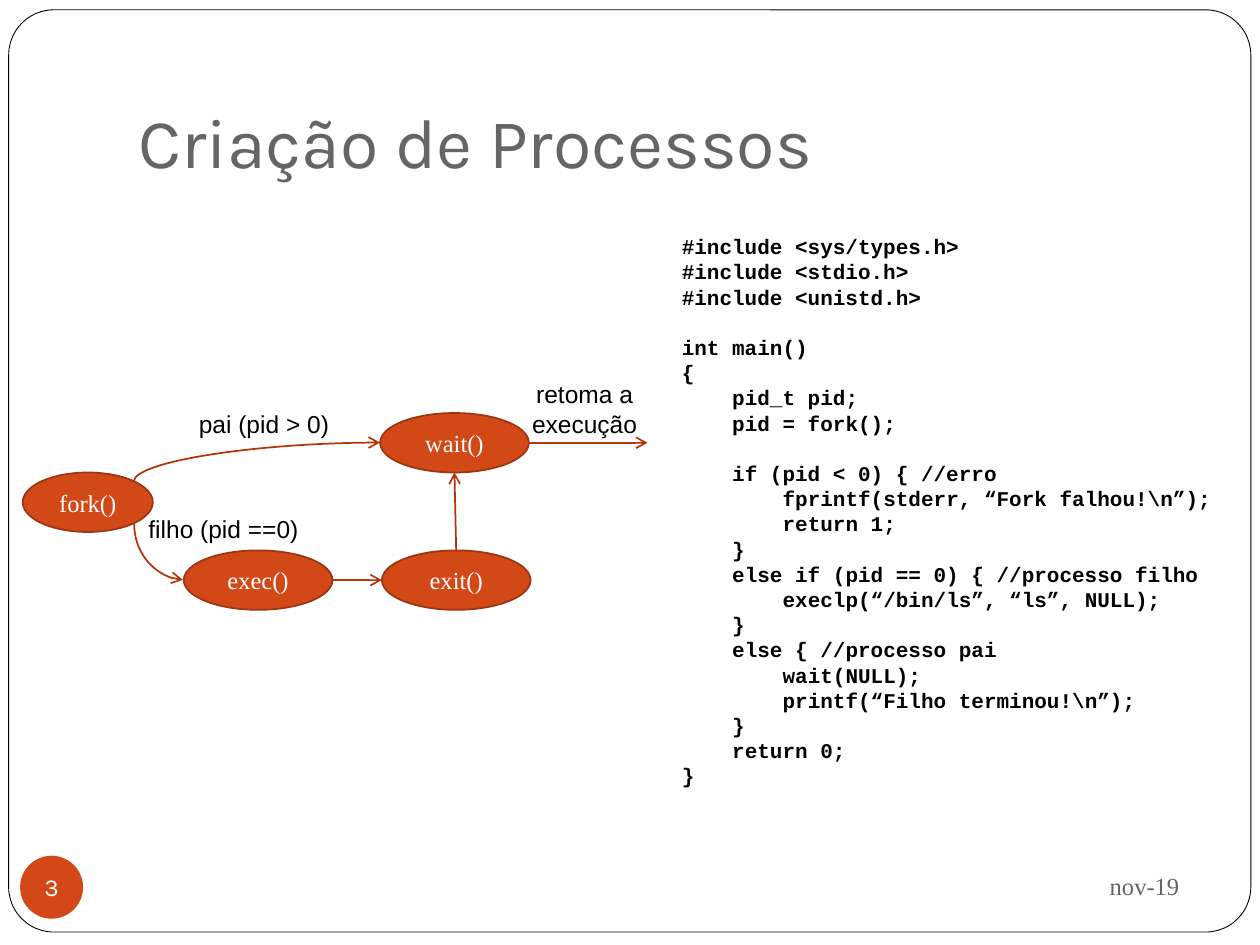
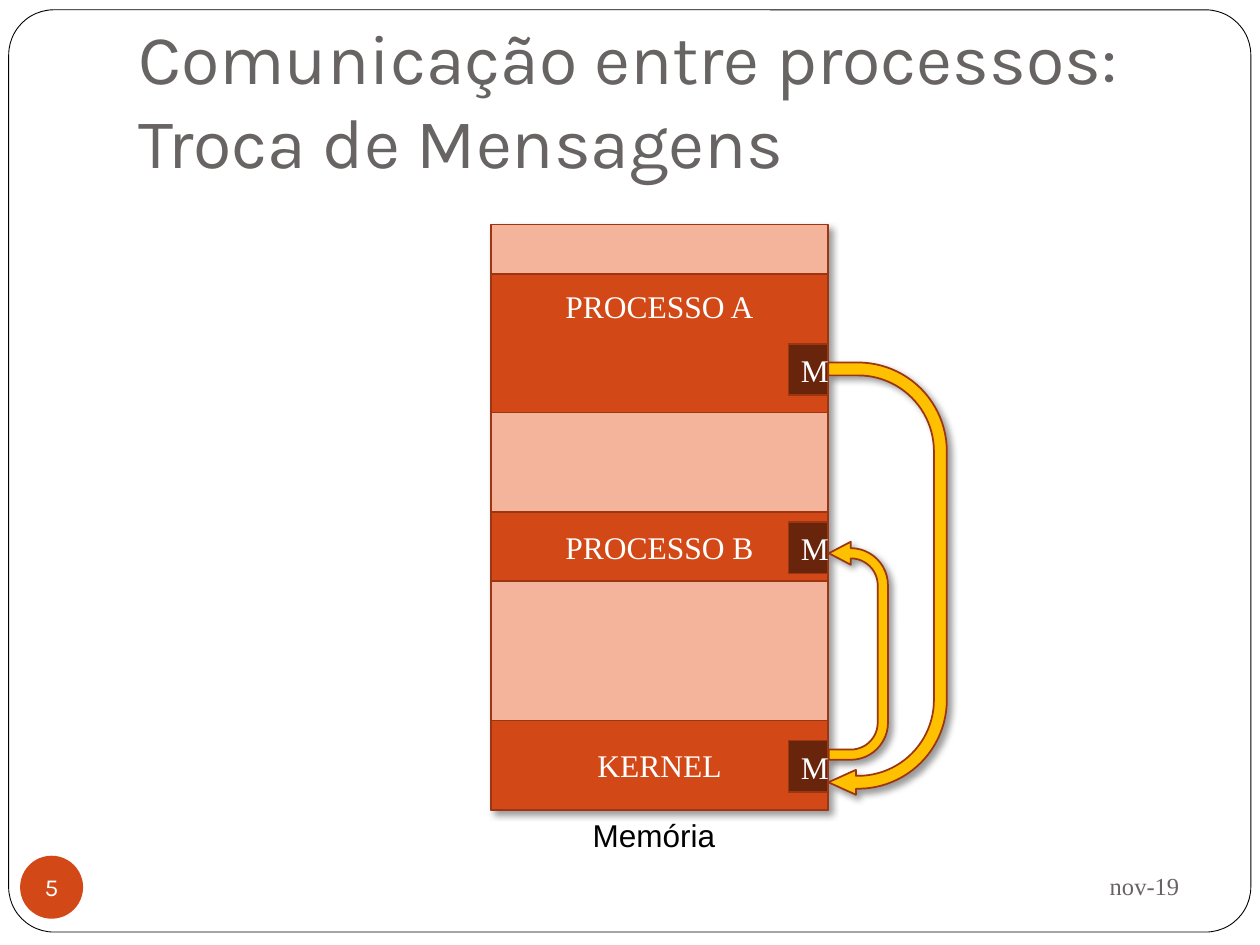
"""Build two slides on process creation and message passing."""
from dataclasses import dataclass
from typing import Any, NamedTuple

import pptx
import pptx.dml.color
import pptx.enum.shapes
import pptx.enum.text
import pptx.oxml
import pptx.oxml.ns
import pptx.util

Pt = pptx.util.Pt
KIND = pptx.enum.shapes.MSO_SHAPE
LINK = pptx.enum.shapes.MSO_CONNECTOR
ALIGN = pptx.enum.text.PP_ALIGN
ANCHOR = pptx.enum.text.MSO_ANCHOR
FIT = pptx.enum.text.MSO_AUTO_SIZE

COLORS = {
    "paper": "FFFFFF", "ink": "000000", "gray": "696464", "main": "D34817",
    "edge": "9C3511", "link": "B1360B", "pale": "F4B39B", "dark": "69240C",
    "gold": "FFC000",
}
SERIF, SANS, HEAD, MONO = "Times New Roman", "Arial", "Karla", "Courier New"
PITCH = 14.4
INDENT = 28.8


class Box(NamedTuple):
    left: float
    top: float
    width: float
    height: float


class Point(NamedTuple):
    x: float
    y: float


@dataclass
class Node:
    text: str
    box: Box

    def at(self, across: float, down: float) -> Point:
        """Return the point at the given shares of width and height."""
        return Point(self.box.left + across * self.box.width,
                     self.box.top + down * self.box.height)


@dataclass
class Label:
    text: tuple[str, ...]
    box: Box
    size: float = 14


@dataclass
class Code:
    text: str
    depth: int = 0
    gap: bool = False


@dataclass
class Curve:
    start: Point
    end: Point
    turn: int


@dataclass
class Block:
    text: str
    top: float
    height: float


@dataclass
class Arrow:
    box: Box
    turn: int
    flip: bool
    bends: tuple[float, ...]


FORK = Node("fork()", Box(12.96, 270, 74.4, 34))
EXEC = Node("exec()", Box(105, 314.5, 85, 34))
WAIT = Node("wait()", Box(217.2, 236, 85, 34))
EXIT = Node("exit()", Box(218.2, 314.5, 85, 34))

LINES = [
    (EXEC.at(1, 0.5), EXIT.at(0, 0.5)),
    (EXIT.at(0.5, 0), WAIT.at(0.5, 1)),
    (WAIT.at(1, 0.5), Point(370, 253)),
]
CURVES = [
    Curve(Point(106.8, 301.2), Point(74.4, 329.1), 270),
    Curve(Point(158, 334.4), Point(135.7, 193.7), 90),
]
LABELS = [
    Label(("filho (pid ==0)",), Box(77.76, 290.2, 100.8, 24.5)),
    Label(("pai (pid > 0)",), Box(106.56, 230.4, 89.3, 24.5)),
    Label(("retoma a", "execução"), Box(296.64, 213.1, 74.9, 41)),
]
PROGRAM = [
    Code("#include <sys/types.h>"),
    Code("#include <stdio.h>"),
    Code("#include <unistd.h>"),
    Code("int main()", gap=True),
    Code("{"),
    Code("pid_t pid;", 1),
    Code("pid = fork();", 1),
    Code("if (pid < 0) { //erro", 1, True),
    Code("fprintf(stderr, “Fork falhou!\\n”);", 2),
    Code("return 1;", 2),
    Code("}", 1),
    Code("else if (pid == 0) { //processo filho", 1),
    Code("execlp(“/bin/ls”, “ls”, NULL);", 2),
    Code("}", 1),
    Code("else { //processo pai", 1),
    Code("wait(NULL);", 2),
    Code("printf(“Filho terminou!\\n”);", 2),
    Code("}", 1),
    Code("return 0;", 1),
    Code("}"),
]

MEMORY = Box(280.6, 128.2, 192.5, 334.8)
BLOCKS = [
    Block("PROCESSO A", 156.6, 79.2),
    Block("PROCESSO B", 292.5, 39.7),
    Block("KERNEL", 411.7, 51.3),
]
CELLS = [196.4, 298.3, 423.2]
ARROWS = [
    Arrow(Box(428.2, 355, 124.6, 33.8), 270, True,
          (0.173, 0.195, 0.371, 0.629, 1)),
    Arrow(Box(383.7, 296.8, 247, 67.7), 90, False,
          (0.109, 0.105, 0.232, 0.75, 1)),
]


def tint(name: str) -> Any:
    """Return a named colour."""
    return pptx.dml.color.RGBColor.from_string(COLORS[name])


def span(box: Box) -> list[Any]:
    """Return the box as lengths."""
    return [Pt(side) for side in box]


def write(shape: Any, *lines: str, size: float = 14, font: str = SERIF,
          color: str = "paper", bold: bool = False, align: Any = ALIGN.CENTER,
          anchor: Any = ANCHOR.MIDDLE, wrap: bool = True, grow: bool = False,
          inset: tuple[float, ...] = (7.2, 3.6, 7.2, 3.6)) -> Any:
    """Fill a shape with lines of text in one format."""
    frame = shape.text_frame
    frame.word_wrap = wrap
    frame.auto_size = FIT.SHAPE_TO_FIT_TEXT if grow else FIT.NONE
    frame.vertical_anchor = anchor
    (frame.margin_left, frame.margin_top,
     frame.margin_right, frame.margin_bottom) = [Pt(side) for side in inset]
    for index, line in enumerate(lines):
        para = frame.add_paragraph() if index else frame.paragraphs[0]
        para.alignment = align
        run = para.add_run()
        run.text = line
        run.font.size, run.font.name, run.font.bold = Pt(size), font, bold
        run.font.color.rgb = tint(color)
    return frame


def draw(slide: Any, kind: Any, box: Box, fill: str = "main",
         line: str | None = "edge", width: float = 1) -> Any:
    """Add a flat preset shape."""
    shape = slide.shapes.add_shape(kind, *span(box))
    shape.shadow.inherit = False
    shape.fill.solid()
    shape.fill.fore_color.rgb = tint(fill)
    if line:
        shape.line.color.rgb = tint(line)
        shape.line.width = Pt(width)
    else:
        shape.line.fill.background()
    return shape


def shade(shape: Any) -> None:
    """Give a shape a soft shadow."""
    effects = shape.element.spPr.find(pptx.oxml.ns.qn("a:effectLst"))
    effects.append(pptx.oxml.parse_xml(
        f'<a:outerShdw {pptx.oxml.ns.nsdecls("a")} blurRad="{Pt(4)}" '
        f'dist="{Pt(3)}" dir="2700000" rotWithShape="0">'
        f'<a:srgbClr val="{COLORS["ink"]}"><a:alpha val="40000"/></a:srgbClr>'
        '</a:outerShdw>'))


def link(slide: Any, start: Point, end: Point, kind: Any = LINK.STRAIGHT) -> Any:
    """Add a connector with an arrowhead at its end."""
    line = slide.shapes.add_connector(kind, *span(Box(*start, *end)))
    line.line.color.rgb = tint("link")
    line.line.width = Pt(1)
    names = pptx.oxml.ns.nsdecls("a")
    line.line._get_or_add_ln().append(
        pptx.oxml.parse_xml(f'<a:tailEnd {names} type="arrow"/>'))
    line.element.spPr.append(pptx.oxml.parse_xml(f"<a:effectLst {names}/>"))
    return line


def bend(slide: Any, curve: Curve) -> None:
    """Add a turned connector with a single bend."""
    props = link(slide, curve.start, curve.end, LINK.CURVE).element.spPr
    props.find(pptx.oxml.ns.qn("a:prstGeom")).set("prst", "curvedConnector2")
    props.find(pptx.oxml.ns.qn("a:xfrm")).set("rot", str(curve.turn * 60000))


def note(slide: Any, label: Label) -> None:
    """Add a label that does not wrap."""
    align = ALIGN.CENTER if len(label.text) > 1 else ALIGN.LEFT
    write(slide.shapes.add_textbox(*span(label.box)), *label.text,
          size=label.size, font=SANS, color="ink", align=align,
          anchor=ANCHOR.TOP, wrap=False, grow=True)


def start(deck: Any, title: str, number: int) -> Any:
    """Add a slide with its frame, title, date and number."""
    slide = deck.slides.add_slide(deck.slide_layouts[6])
    frame = draw(slide, KIND.ROUNDED_RECTANGLE, Box(5, 5.6, 709.8, 527),
                 "paper", "ink", 0.5)
    frame.adjustments[0] = 0.049
    write(slide.shapes.add_textbox(*span(Box(72, 21.6, 612, 90))), title,
          size=40, font=HEAD, color="gray", align=ALIGN.LEFT,
          anchor=ANCHOR.BOTTOM, inset=(7.2, 3.6, 7.2, 7.2))
    write(slide.shapes.add_textbox(*span(Box(486, 487.5, 195, 37.5))),
          "nov-19", color="gray", align=ALIGN.RIGHT)
    badge = draw(slide, KIND.OVAL, Box(11.5, 489, 36, 36), line=None)
    write(badge, str(number), font=HEAD, wrap=False, inset=(0, 0, 0, 0))
    return slide


def list_code(slide: Any) -> None:
    """Add the program, indented by depth."""
    frame = write(slide.shapes.add_textbox(*span(Box(382.5, 130, 323.3, 327))),
                  *[code.text for code in PROGRAM], size=12, font=MONO,
                  color="ink", bold=True, align=ALIGN.LEFT, anchor=ANCHOR.TOP)
    for para, code in zip(frame.paragraphs, PROGRAM):
        para.line_spacing = Pt(PITCH)
        para.space_before = Pt(PITCH if code.gap else 0)
        props = para._p.get_or_add_pPr()
        props.set("marL", str(Pt(code.depth * INDENT)))
        props.set("indent", "0")


def show_fork(deck: Any) -> None:
    """Build the slide on process creation."""
    slide = start(deck, "Criação de Processos", 3)
    list_code(slide)
    for node in (FORK, EXEC, WAIT, EXIT):
        write(draw(slide, KIND.OVAL, node.box), node.text)
    for head, tail in LINES:
        link(slide, head, tail)
    for curve in CURVES:
        bend(slide, curve)
    for label in LABELS:
        note(slide, label)


def show_mail(deck: Any) -> None:
    """Build the slide on message passing."""
    slide = start(deck, "Comunicação entre processos: Troca de Mensagens", 5)
    shade(draw(slide, KIND.RECTANGLE, MEMORY, "pale"))
    note(slide, Label(("Memória",), Box(331.6, 463, 85, 29), 18))
    for block in BLOCKS:
        box = Box(MEMORY.left, block.top, MEMORY.width, block.height)
        high = block is BLOCKS[0]
        write(draw(slide, KIND.RECTANGLE, box), block.text, size=18,
              anchor=ANCHOR.TOP if high else ANCHOR.MIDDLE,
              inset=(7.2, 7.5 if high else 3.6, 7.2, 3.6))
    for arrow in ARROWS:
        shape = draw(slide, KIND.U_TURN_ARROW, arrow.box, "gold")
        for index, value in enumerate(arrow.bends):
            shape.adjustments[index] = value
        shape.rotation = arrow.turn
        if arrow.flip:
            shape.element.spPr.find(pptx.oxml.ns.qn("a:xfrm")).set("flipV", "1")
        shade(shape)
    for top in CELLS:
        cell = Box(MEMORY.left + MEMORY.width - 22.5, top, 22.5, 29.5)
        write(draw(slide, KIND.RECTANGLE, cell, "dark"), "M", size=18)


def main() -> None:
    """Build and save the deck."""
    deck = pptx.Presentation()
    deck.slide_width, deck.slide_height = Pt(720), Pt(540)
    show_fork(deck)
    show_mail(deck)
    deck.save("out.pptx")


if __name__ == "__main__":
    main()
